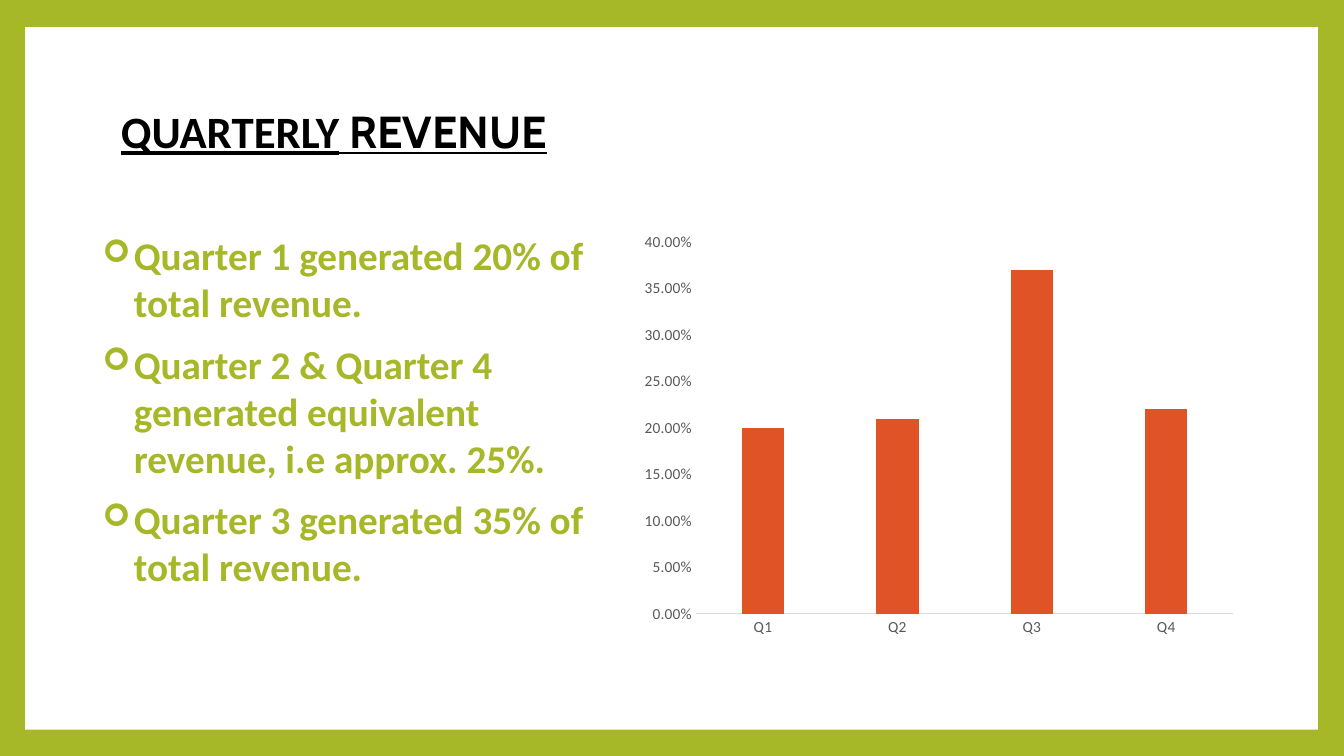
from lxml import etree
from pptx import Presentation
from pptx.chart.data import CategoryChartData
from pptx.dml.color import RGBColor
from pptx.enum.chart import XL_CHART_TYPE, XL_TICK_MARK
from pptx.enum.shapes import MSO_SHAPE
from pptx.enum.text import MSO_ANCHOR
from pptx.oxml import parse_xml
from pptx.oxml.ns import nsdecls, qn
from pptx.util import Inches, Pt

COLUMN = XL_CHART_TYPE.COLUMN_CLUSTERED
NO_TICK = XL_TICK_MARK.NONE
RECT = MSO_SHAPE.RECTANGLE
MIDDLE, TOP = MSO_ANCHOR.MIDDLE, MSO_ANCHOR.TOP

GREEN, ORANGE, WHITE, BLACK = "A6B727", "DF5327", "FFFFFF", "000000"
GREY, LIGHT_GREY = "595959", "D9D9D9"

TITLE_FORMAT = {"size": Pt(32), "bold": True, "underline": True}
BODY_FORMAT = {"size": Pt(28), "bold": True, "name": "Calibri"}
AXIS_FORMAT = {"size": Pt(11), "bold": False, "name": "Calibri"}
PLOT_LAYOUT = {"x": 0.094, "y": 0.037, "w": 0.877, "h": 0.886}

POINTS = [
    "Quarter 1 generated 20% of total revenue.",
    "Quarter 2 & Quarter 4 generated equivalent revenue, i.e approx. 25%.",
    "Quarter 3 generated 35% of total revenue.",
]
REVENUE = {"Q1": 0.2, "Q2": 0.21, "Q3": 0.37, "Q4": 0.22}


def rgb(value):
    return RGBColor.from_string(value)


def format_font(font, values, color):
    for name, value in values.items():
        setattr(font, name, value)
    font.color.rgb = rgb(color)


def add_panel(slide, box):
    sp = slide.shapes.add_shape(RECT, *map(Inches, box))
    sp.shadow.inherit = False
    sp.fill.solid()
    sp.fill.fore_color.rgb = rgb(WHITE)
    sp.line.fill.background()


def add_text_frame(slide, box, anchor):
    tf = slide.shapes.add_textbox(*map(Inches, box)).text_frame
    tf.word_wrap = True
    tf.vertical_anchor = anchor
    return tf


def add_title(slide, box, parts):
    tf = add_text_frame(slide, box, MIDDLE)
    tf.margin_bottom = Inches(0.73)
    p = tf.paragraphs[0]
    p.line_spacing = 0.9
    for text, face in parts:
        r = p.add_run()
        r.text = text
        format_font(r.font, {**TITLE_FORMAT, "name": face}, BLACK)


def add_bullet(p):
    pPr = p._p.get_or_add_pPr()
    pPr.set("marL", str(Inches(0.31)))
    pPr.set("indent", str(-Inches(0.31)))
    color = etree.SubElement(pPr, qn("a:buClr"))
    etree.SubElement(color, qn("a:srgbClr"), val=GREEN)
    etree.SubElement(pPr, qn("a:buSzPct"), val="80000")
    etree.SubElement(pPr, qn("a:buFont"), typeface="Wingdings", charset="2")
    etree.SubElement(pPr, qn("a:buChar"), char="➢")


def add_bullets(slide, box, lines):
    tf = add_text_frame(slide, box, TOP)
    for i, text in enumerate(lines):
        p = tf.add_paragraph() if i else tf.paragraphs[0]
        p.space_before = Pt(10)
        add_bullet(p)
        r = p.add_run()
        r.text = text
        format_font(r.font, BODY_FORMAT, GREEN)


def set_plot_layout(chart):
    plot_area = chart._chartSpace.chart.plotArea
    for old in plot_area.findall(qn("c:layout")):
        plot_area.remove(old)
    modes = "".join(f'<c:{k}Mode val="edge"/>' for k in "xy")
    sizes = "".join(f'<c:{k} val="{v}"/>' for k, v in PLOT_LAYOUT.items())
    plot_area.insert(0, parse_xml(
        f'<c:layout {nsdecls("c")}><c:manualLayout>'
        f'<c:layoutTarget val="inner"/>{modes}{sizes}'
        '</c:manualLayout></c:layout>'))


def add_revenue_chart(slide, box, values):
    data = CategoryChartData(number_format="0.00%")
    data.categories = list(values)
    data.add_series("Series 1", list(values.values()))
    chart = slide.shapes.add_chart(COLUMN, *map(Inches, box), data).chart
    chart.has_legend = False
    chart.has_title = False
    format_font(chart.font, AXIS_FORMAT, BLACK)

    for axis in (chart.category_axis, chart.value_axis):
        axis.major_tick_mark = axis.minor_tick_mark = NO_TICK
        axis.has_major_gridlines = False
        format_font(axis.tick_labels.font, AXIS_FORMAT, GREY)
    line = chart.category_axis.format.line
    line.color.rgb = rgb(LIGHT_GREY)
    line.width = Pt(0.75)

    axis = chart.value_axis
    axis.format.line.fill.background()
    axis.minimum_scale, axis.maximum_scale, axis.major_unit = 0, 0.4, 0.05
    axis.tick_labels.number_format = "0.00%"
    axis.tick_labels.number_format_is_linked = False

    plot = chart.plots[0]
    plot.gap_width, plot.overlap, plot.vary_by_categories = 219, -27, False
    fill = plot.series[0].format.fill
    fill.solid()
    fill.fore_color.rgb = rgb(ORANGE)
    set_plot_layout(chart)


def main():
    prs = Presentation()
    prs.slide_width, prs.slide_height = Inches(13.33), Inches(7.5)
    slide = prs.slides.add_slide(prs.slide_layouts[6])
    slide.background.fill.solid()
    slide.background.fill.fore_color.rgb = rgb(GREEN)
    add_panel(slide, (0.25, 0.27, 12.82, 6.97))
    add_title(slide, (1.1, 0.72, 5.13, 1.9),
              [("QUARTERLY", "Calibri"), (" REVENUE", "Cabin")])
    add_revenue_chart(slide, (6.33, 2.25, 6.08, 4.16), REVENUE)
    add_bullets(slide, (0.92, 2.25, 5.13, 4.17), POINTS)
    prs.save("out.pptx")


if __name__ == "__main__":
    main()
